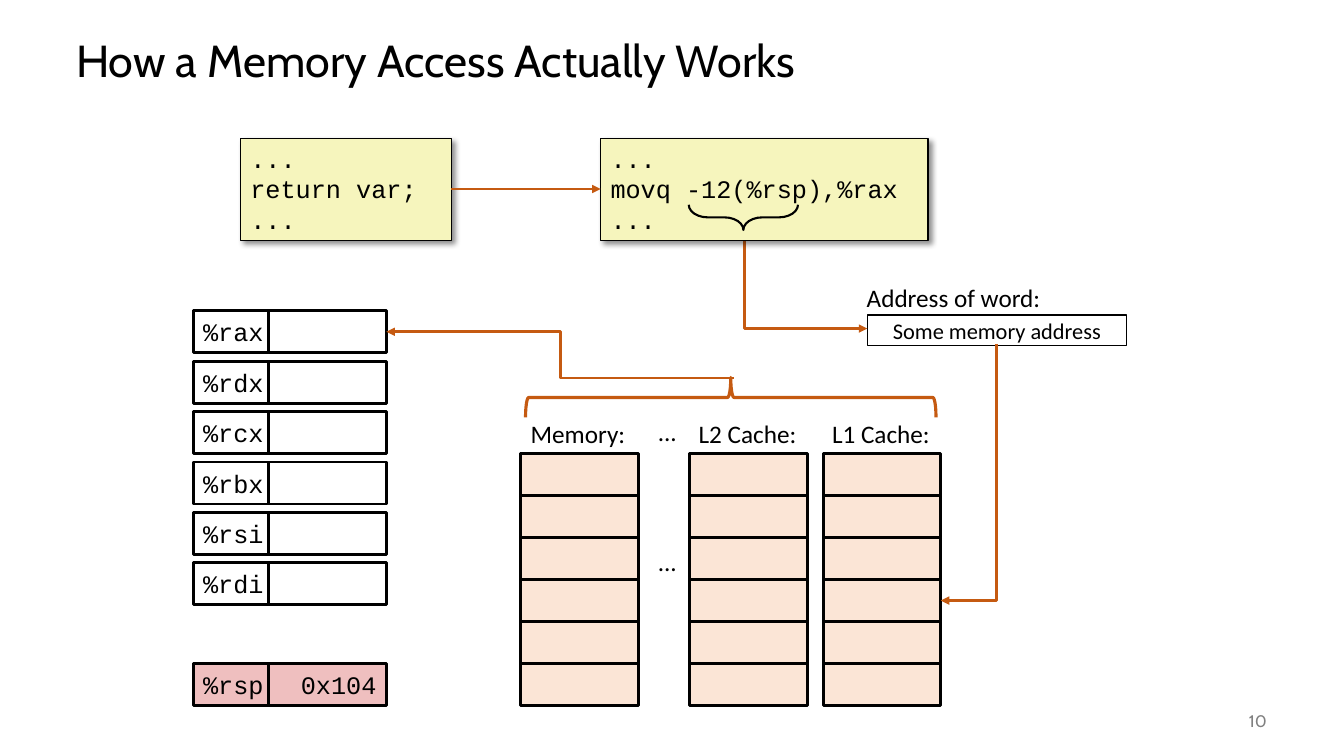
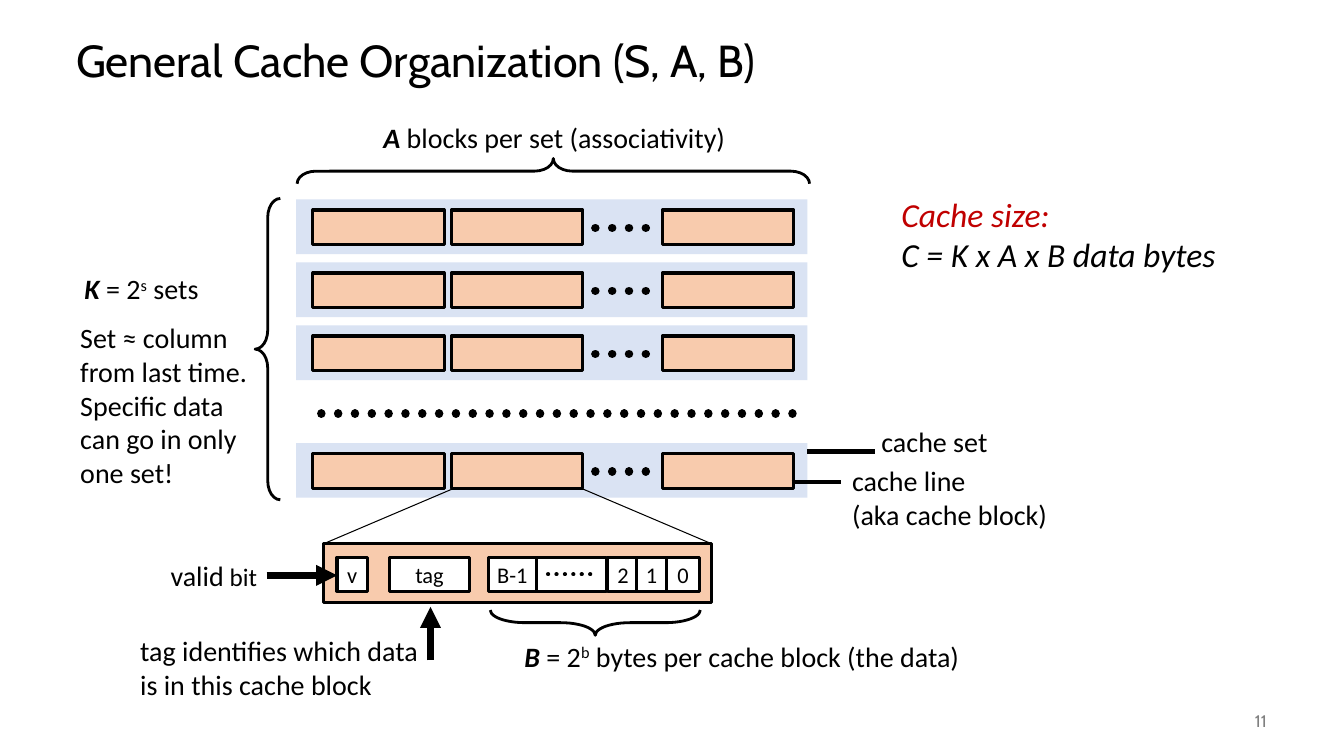
from dataclasses import dataclass
from typing import NamedTuple

from pptx import Presentation
from pptx.dml.color import RGBColor
from pptx.enum.dml import MSO_LINE
from pptx.enum.shapes import MSO_CONNECTOR, MSO_SHAPE
from pptx.enum.text import MSO_ANCHOR, MSO_AUTO_SIZE, PP_ALIGN
from pptx.oxml.ns import qn
from pptx.util import Emu, Pt
from lxml import etree

RECT, TRAPEZOID = MSO_SHAPE.RECTANGLE, MSO_SHAPE.TRAPEZOID
LEFT_BRACE, RIGHT_BRACE = MSO_SHAPE.LEFT_BRACE, MSO_SHAPE.RIGHT_BRACE
STRAIGHT, ELBOW = MSO_CONNECTOR.STRAIGHT, MSO_CONNECTOR.ELBOW
LEFT, CENTER, RIGHT = PP_ALIGN.LEFT, PP_ALIGN.CENTER, PP_ALIGN.RIGHT
TOP, MIDDLE = MSO_ANCHOR.TOP, MSO_ANCHOR.MIDDLE

EMU_PER_PX = 9525
TITLE_FONT, BODY_FONT, CODE_FONT = "Cabin", "Calibri", "Courier New"
BLACK, WHITE, GRAY, RED = "000000", "FFFFFF", "808080", "C00000"
ARROW, CODE_FILL, MEMORY_FILL, POINTER_FILL = "C55A11", "F6F5BD", "FBE5D6", "EFBFBF"
SET_FILL, BLOCK_FILL = "DAE3F3", "F8CBAD"


class Area(NamedTuple):
    left: int
    top: int
    width: int
    height: int


class Point(NamedTuple):
    x: int
    y: int


@dataclass(frozen=True)
class Span:
    text: str
    strong: bool = False
    raised: bool = False
    size: int | None = None
    color: str | None = None


@dataclass(frozen=True)
class Style:
    size: int = 20
    font: str = BODY_FONT
    color: str = BLACK
    italic: bool = False
    align: PP_ALIGN = LEFT
    anchor: MSO_ANCHOR = TOP
    wrap: bool = False
    grow: bool = True
    spacing: float = 1.0


Lines = list[list[Span]]

TITLE = Style(32, TITLE_FONT, anchor=MIDDLE, wrap=True, grow=False, spacing=0.9)
NUMBER = Style(12, TITLE_FONT, GRAY, align=RIGHT, anchor=MIDDLE, wrap=True, grow=False)
LABEL = Style(18)
NOTE = Style()
WRAPPED = Style(wrap=True)
CENTERED = Style(wrap=True, align=CENTER)
FORMULA = Style(24, italic=True)
CODE = Style(18, CODE_FONT, wrap=True, grow=False)
REGISTER = Style(18, CODE_FONT, anchor=MIDDLE, grow=False)
VALUE = Style(18, CODE_FONT, align=RIGHT, anchor=MIDDLE, grow=False)
FIELD = Style(16, align=CENTER, anchor=MIDDLE, grow=False)


def px(length: float) -> Emu:
    return Emu(round(length * EMU_PER_PX))


def rgb(color: str) -> RGBColor:
    return RGBColor.from_string(color)


# Text
def plain(*texts: str) -> Lines:
    return [[Span(text)] for text in texts]


def write(box, lines: Lines, style: Style) -> None:
    frame = box.text_frame
    frame.word_wrap = style.wrap
    frame.vertical_anchor = style.anchor
    frame.auto_size = MSO_AUTO_SIZE.SHAPE_TO_FIT_TEXT if style.grow else MSO_AUTO_SIZE.NONE
    for index, spans in enumerate(lines):
        para = frame.add_paragraph() if index else frame.paragraphs[0]
        para.alignment = style.align
        para.line_spacing = style.spacing
        for span in spans:
            run = para.add_run()
            run.text = span.text
            run.font.name = style.font
            run.font.size = Pt(span.size or style.size)
            run.font.color.rgb = rgb(span.color or style.color)
            run.font.bold = span.strong
            run.font.italic = span.strong or style.italic
            if span.raised:
                run._r.get_or_add_rPr().set("baseline", "30000")


def add_text(page, area: Area, lines: Lines, style: Style = NOTE) -> None:
    write(page.shapes.add_textbox(*map(px, area)), lines, style)


# Shapes
def add_shape(page, kind, area: Area, fill: str | None = None, weight: float = 2,
              color: str = BLACK):
    shape = page.shapes.add_shape(kind, *map(px, area))
    shape.shadow.inherit = False
    if fill:
        shape.fill.solid()
        shape.fill.fore_color.rgb = rgb(fill)
    else:
        shape.fill.background()
    if weight:
        shape.line.color.rgb = rgb(color)
        shape.line.width = Pt(weight)
    else:
        shape.line.fill.background()
    return shape


def add_cell(page, area: Area, fill: str, text: str = "", style: Style = FIELD,
             weight: float = 2) -> None:
    cell = add_shape(page, RECT, area, fill, weight)
    if text:
        write(cell, plain(text), style)


def add_brace(page, kind, area: Area, turn: int = 0, bend: float = 0.75,
              weight: float = 2, color: str = BLACK) -> None:
    brace = add_shape(page, kind, area, None, weight, color)
    brace.rotation = turn
    brace.adjustments[0] = bend


def add_code(page, area: Area, *texts: str) -> None:
    box = add_shape(page, RECT, area, CODE_FILL, 1)
    effects = box._element.spPr.find(qn("a:effectLst"))
    shadow = etree.SubElement(effects, qn("a:outerShdw"), blurRad="50800", dist="38100",
                              dir="2700000", algn="tl", rotWithShape="0")
    tone = etree.SubElement(shadow, qn("a:srgbClr"), val=BLACK)
    etree.SubElement(tone, qn("a:alpha"), val="43000")
    write(box, plain(*texts), CODE)


# Lines
def add_line(page, start: Point, end: Point, weight: float, color: str = BLACK,
             kind=STRAIGHT, arrow: bool = False, dotted: bool = False):
    line = page.shapes.add_connector(kind, *map(px, (*start, *end)))
    line.line.color.rgb = rgb(color)
    line.line.width = Pt(weight)
    outline = line.line._get_or_add_ln()
    if dotted:
        line.line.dash_style = MSO_LINE.ROUND_DOT
        outline.set("cap", "rnd")
    if arrow:
        etree.SubElement(outline, qn("a:tailEnd"), type="triangle")
    etree.SubElement(line._element.spPr, qn("a:effectLst"))
    return line


def add_corner_arrow(page, start: Point, end: Point) -> None:
    """Arrow that runs down from start, then sideways to end."""
    width, height = abs(end.y - start.y), abs(end.x - start.x)
    left = (start.x + end.x - width) / 2
    top = (start.y + end.y - height) / 2
    line = add_line(page, Point(left, top), Point(left + width, top + height),
                    2, ARROW, ELBOW, arrow=True)
    line._element.spPr.find(qn("a:prstGeom")).set("prst", "bentConnector2")
    frame = line._element.spPr.find(qn("a:xfrm"))
    if end.x > start.x:
        frame.set("rot", str(270 * 60000))
        frame.set("flipH", "1")
    else:
        frame.set("rot", str(90 * 60000))


# Slides
def add_page(deck, title: str, number: int):
    page = deck.slides.add_slide(deck.slide_layouts[6])
    add_text(page, Area(63, 24, 1152, 72), plain(title), TITLE)
    add_text(page, Area(1120, 667, 96, 38), plain(str(number)), NUMBER)
    return page


def build_memory_access(deck) -> None:
    page = add_page(deck, "How a Memory Access Actually Works", 10)

    # Address
    add_cell(page, Area(826, 300, 247, 29), WHITE, "Some memory address", FIELD, 1)
    add_text(page, Area(816, 264, 190, 38), plain("Address of word:"), LABEL)

    # Memory and caches
    for name, left, label_width in (("Memory:", 496, 112), ("L2 Cache:", 657, 114),
                                    ("L1 Cache:", 784, 114)):
        for row in range(6):
            add_cell(page, Area(left, 432 + 40 * row, 112, 40), MEMORY_FILL)
        label_left = left - (label_width - 112) // 2
        add_text(page, Area(label_left, 394, label_width, 38), plain(name), LABEL)
    for top in (392, 516):
        add_text(page, Area(617, top, 38, 38), plain("..."), LABEL)

    # Registers, with an empty slot above the stack pointer
    for slot, name in enumerate(("%rax", "%rdx", "%rcx", "%rbx", "%rsi", "%rdi", "", "%rsp")):
        if name:
            fill, value = (POINTER_FILL, "0x104") if name == "%rsp" else (WHITE, "")
            top = 296 + 48 * slot
            add_cell(page, Area(184, top, 72, 40), fill, name, REGISTER)
            add_cell(page, Area(256, top, 112, 40), fill, value, VALUE)

    # Route of the access
    add_corner_arrow(page, Point(709, 182), Point(826, 313))
    add_corner_arrow(page, Point(949, 328), Point(896, 572))
    add_line(page, Point(699, 360), Point(368, 316), 2, ARROW, ELBOW, arrow=True)
    add_code(page, Area(229, 132, 201, 97), "...", "return var;", "...")
    add_code(page, Area(572, 132, 312, 97), "...", "movq -12(%rsp),%rax", "...")
    add_line(page, Point(430, 180), Point(572, 180), 2, ARROW, arrow=True)
    add_brace(page, LEFT_BRACE, Area(696, 155, 24, 104), 270, weight=1.5)
    add_brace(page, RIGHT_BRACE, Area(677, 183, 38, 391), 270, 0.08, 2.25, ARROW)


def build_cache_organization(deck) -> None:
    page = add_page(deck, "General Cache Organization (S, A, B)", 11)

    # Sets of blocks
    for top in (190, 250, 310, 422):
        add_cell(page, Area(282, top, 487, 52), SET_FILL, weight=0)
        for left in (298, 430, 631):
            add_cell(page, Area(left, top + 10, 125, 33), BLOCK_FILL, weight=2.25)
        add_line(page, Point(567, top + 27), Point(631, top + 27), 6, dotted=True)
    add_line(page, Point(306, 394), Point(755, 394), 6, dotted=True)

    # One block enlarged
    zoom = add_shape(page, TRAPEZOID, Area(308, 466, 370, 52), weight=0.75)
    zoom.adjustments[0] = 2.35
    add_cell(page, Area(308, 518, 370, 56), BLOCK_FILL, weight=2.25)
    for text, left, width in (("v", 321, 29), ("tag", 371, 76), ("B-1", 465, 46),
                              ("", 511, 67), ("2", 579, 29), ("1", 606, 29), ("0", 635, 31)):
        add_cell(page, Area(left, 531, width, 32), WHITE, text, FIELD, 2.25)
    add_line(page, Point(522, 547), Point(570, 547), 3, dotted=True)

    # Braces
    add_brace(page, LEFT_BRACE, Area(515, -81, 24, 488), 90)
    add_brace(page, LEFT_BRACE, Area(243, 189, 24, 287))
    add_brace(page, LEFT_BRACE, Area(555, 493, 24, 200), 270, 1.37)

    # Pointers
    add_line(page, Point(769, 430), Point(833, 430), 3)
    add_line(page, Point(754, 459), Point(801, 459), 3)
    add_line(page, Point(254, 548), Point(321, 548), 5, arrow=True)
    add_line(page, Point(410, 629), Point(410, 578), 5, arrow=True)

    # Labels
    add_text(page, Area(321, 110, 414, 42),
             [[Span("A", strong=True), Span(" blocks per set (associativity)")]], CENTERED)
    for area, name, power, rest in (
            (Area(71, 254, 131, 42), "K", "s", " sets"),
            (Area(490, 604, 439, 42), "B", "b", " bytes per cache block (the data)")):
        add_text(page, area, [[Span(name, strong=True), Span(" = 2"),
                               Span(power, raised=True), Span(rest)]])
    add_text(page, Area(830, 400, 122, 42), plain("cache set"))
    add_text(page, Area(802, 437, 207, 74), plain("cache line", "(aka cache block)"))
    add_text(page, Area(849, 180, 322, 87),
             [[Span("Cache size:", color=RED)], [Span("C = K x A x B data bytes")]], FORMULA)
    add_text(page, Area(153, 527, 103, 42), [[Span("valid"), Span(" bit", size=18)]])
    add_text(page, Area(67, 301, 187, 171),
             plain("Set ≈ column from last time.", "Specific data can go in only one set!"),
             WRAPPED)
    add_text(page, Area(124, 599, 294, 74),
             plain("tag identifies which data is in this cache block"), WRAPPED)


def main() -> None:
    deck = Presentation()
    deck.slide_width, deck.slide_height = px(1280), px(720)
    build_memory_access(deck)
    build_cache_organization(deck)
    deck.save("out.pptx")


if __name__ == "__main__":
    main()
